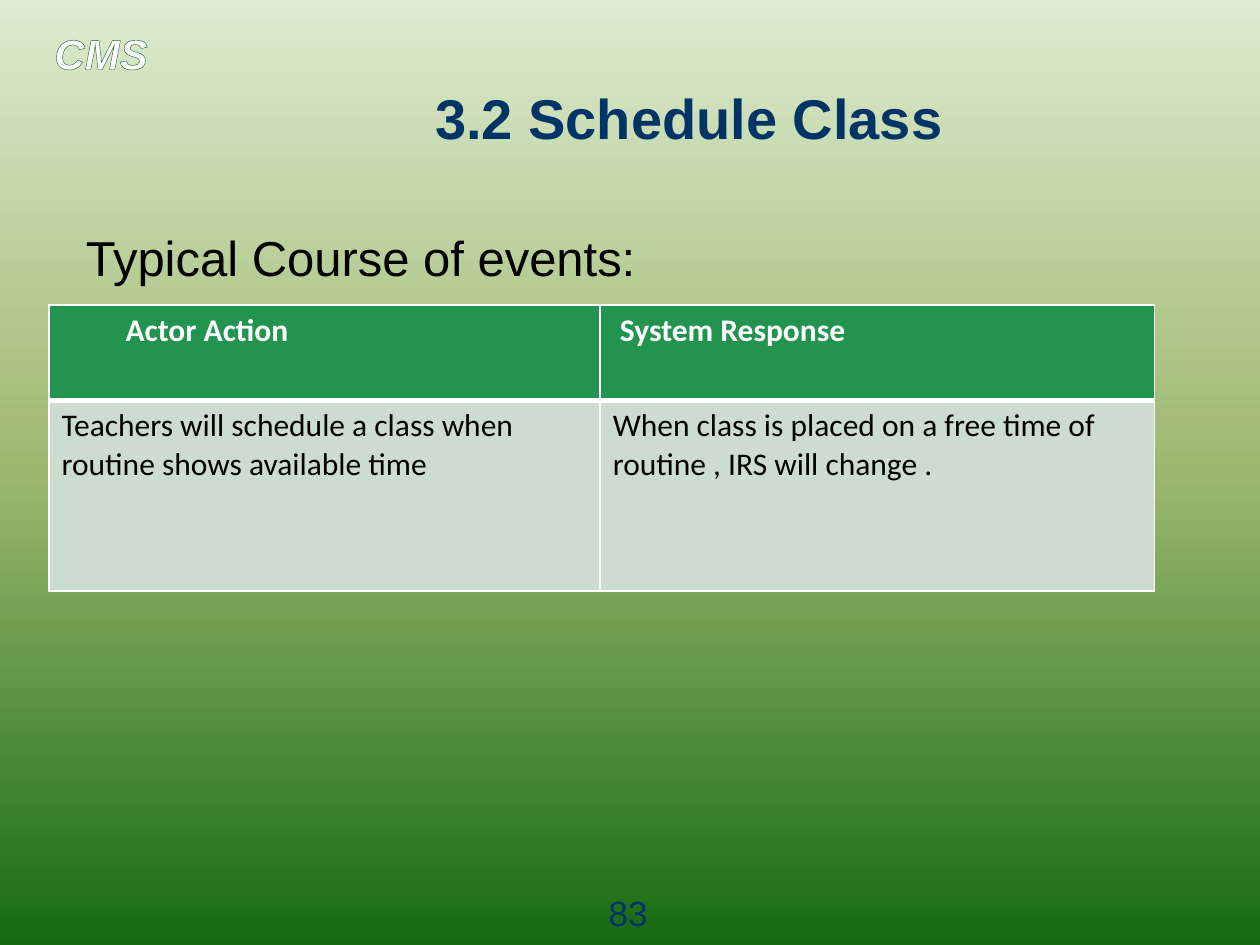
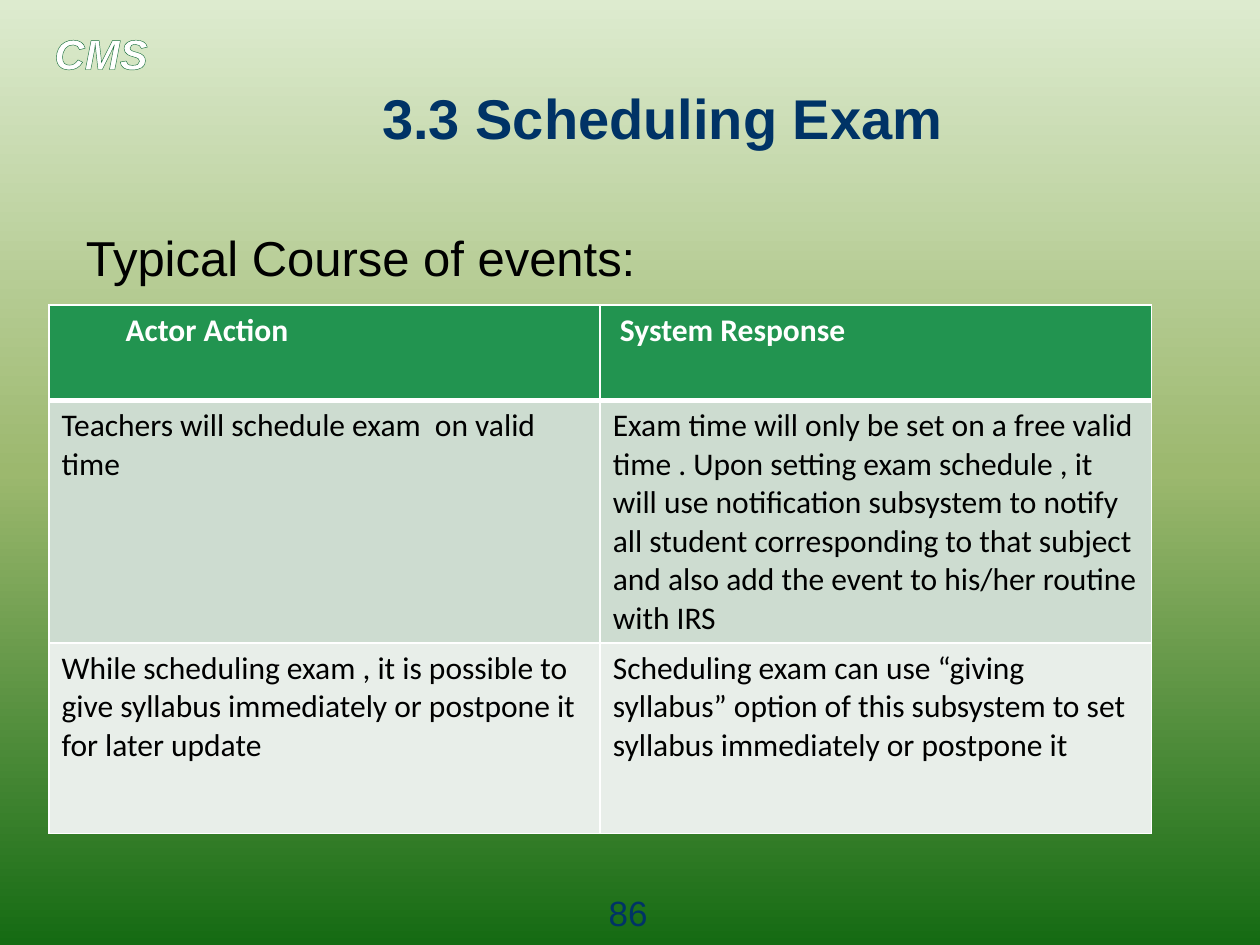
import pptx
import pptx.dml.color
import pptx.enum.text
import pptx.oxml.ns
import pptx.util
from lxml import etree

Pt = pptx.util.Pt
qn = pptx.oxml.ns.qn
ALIGN = pptx.enum.text.PP_ALIGN
ANCHOR = pptx.enum.text.MSO_ANCHOR

WHITE, BLACK, NAVY = "FFFFFF", "000000", "003366"
HEADER_FILL, OUTLINE = "229450", "196F3C"
BAND_FILLS = ("CDDCD0", "E8EEE9")
BACKGROUND_STOPS = ((0, "DDEBCF"), (50, "9CB86E"), (100, "156B13"))

TABLE_LEFT, TABLE_TOP = 28, 174.3
CELL_MARGIN = 7.2
HEADERS = (("Actor Action", 36.6), ("System Response", 4.1))

LABEL = {"size": Pt(24), "name": "Arial", "bold": True, "italic": True}
TITLE = {"size": Pt(32), "name": "Arial", "bold": True}
BODY = {"size": Pt(28), "name": "Arial"}
NUMBER = {"size": Pt(20), "name": "Arial"}
HEADER_CELL = {"size": Pt(18), "name": "Calibri", "bold": True}
CELL = {"size": Pt(18), "name": "Calibri", "bold": False}

SLIDES = (
    {"title": "3.2 Schedule Class", "number": "83",
     "columns": (315, 316.8), "heights": (54.6, 108.8),
     "rows": (
         ("Teachers will schedule a class when routine shows available time",
          "When class is placed on a free time of routine , IRS will change ."),
     )},
    {"title": "3.3 Scheduling Exam", "number": "86",
     "columns": (315, 315), "heights": (54.6, 138.6, 108.8),
     "rows": (
         ("Teachers will schedule exam  on valid time",
          "Exam time will only be set on a free valid time . Upon setting exam "
          "schedule , it will use notification subsystem to notify all student "
          "corresponding to that subject and also add the event to his/her "
          "routine with IRS"),
         ("While scheduling exam , it is possible to give syllabus immediately "
          "or postpone it for later update",
          "Scheduling exam can use “giving syllabus” option of this subsystem "
          "to set syllabus immediately or postpone it"),
     )},
)


def rgb(value):
    return pptx.dml.color.RGBColor.from_string(value)


def add_solid_fill(parent, color):
    fill = etree.SubElement(parent, qn("a:solidFill"))
    etree.SubElement(fill, qn("a:srgbClr"), val=color)


def make_line(tag, color, width):
    ln = etree.Element(qn(tag), w=str(Pt(width)))
    add_solid_fill(ln, color)
    return ln


def set_background(master):
    """Give every slide the vertical gradient through the master."""
    fill = master.background.fill
    fill.gradient()
    fill.gradient_angle = 270
    stops = next(master.element.iter(qn("a:gsLst")))
    for stop in list(stops):
        stops.remove(stop)
    for percent, color in BACKGROUND_STOPS:
        stop = etree.SubElement(stops, qn("a:gs"), pos=str(percent * 1000))
        etree.SubElement(stop, qn("a:srgbClr"), val=color)


def write(tf, text, font, color, align=ALIGN.LEFT):
    p = tf.paragraphs[0]
    p.alignment = align
    r = p.add_run()
    r.text = text
    for name, value in font.items():
        setattr(r.font, name, value)
    r.font.color.rgb = rgb(color)
    return r


def add_text(s, box, text, font, color, align=ALIGN.LEFT, anchor=ANCHOR.TOP):
    tf = s.shapes.add_textbox(*map(Pt, box)).text_frame
    tf.word_wrap = True
    tf.vertical_anchor = anchor
    return write(tf, text, font, color, align)


def add_label(s):
    r = add_text(s, (24, 12.2, 108, 36), "CMS", LABEL, WHITE)
    r.font._element.insert(0, make_line("a:ln", OUTLINE, 1))


def add_heading(s, text):
    add_text(s, (42, 48, 504, 38), text, TITLE, NAVY, ALIGN.RIGHT, ANCHOR.MIDDLE)


def add_intro(s):
    add_text(s, (42, 126.7, 645, 371), "Typical Course of events:", BODY, BLACK)
    s.shapes[-1].text_frame.paragraphs[0].space_before = Pt(5.6)


def add_page_number(s, number):
    add_text(s, (326, 506, 66, 21), number, NUMBER, NAVY, ALIGN.CENTER)


def format_cell(cell, fill, top=1, bottom=1):
    """Fill the cell and draw its white borders, widths in points."""
    cell.fill.solid()
    cell.fill.fore_color.rgb = rgb(fill)
    borders = (("a:lnL", 1), ("a:lnR", 1), ("a:lnT", top), ("a:lnB", bottom))
    for i, (tag, width) in enumerate(borders):
        cell._tc.get_or_add_tcPr().insert(i, make_line(tag, WHITE, width))


def add_events_table(s, columns, heights, rows):
    table = s.shapes.add_table(
        len(heights), len(columns), Pt(TABLE_LEFT), Pt(TABLE_TOP),
        Pt(sum(columns)), Pt(sum(heights))).table
    table.first_row = table.horz_banding = False
    for column, width in zip(table.columns, columns):
        column.width = Pt(width)
    for row, height in zip(table.rows, heights):
        row.height = Pt(height)

    for cell, (text, indent) in zip(table.rows[0].cells, HEADERS):
        write(cell.text_frame, text, HEADER_CELL, WHITE)
        cell.margin_left = Pt(CELL_MARGIN + indent)
        format_cell(cell, HEADER_FILL, bottom=3)
    for i, texts in enumerate(rows):
        for cell, text in zip(table.rows[i + 1].cells, texts):
            write(cell.text_frame, text, CELL, BLACK)
            format_cell(cell, BAND_FILLS[i % 2], top=3 if i == 0 else 1)


def main():
    prs = pptx.Presentation()
    prs.slide_width, prs.slide_height = Pt(720), Pt(540)
    set_background(prs.slide_master)
    for content in SLIDES:
        s = prs.slides.add_slide(prs.slide_layouts[6])
        add_label(s)
        add_heading(s, content["title"])
        add_intro(s)
        add_page_number(s, content["number"])
        add_events_table(s, content["columns"], content["heights"], content["rows"])
    prs.save("out.pptx")


if __name__ == "__main__":
    main()
